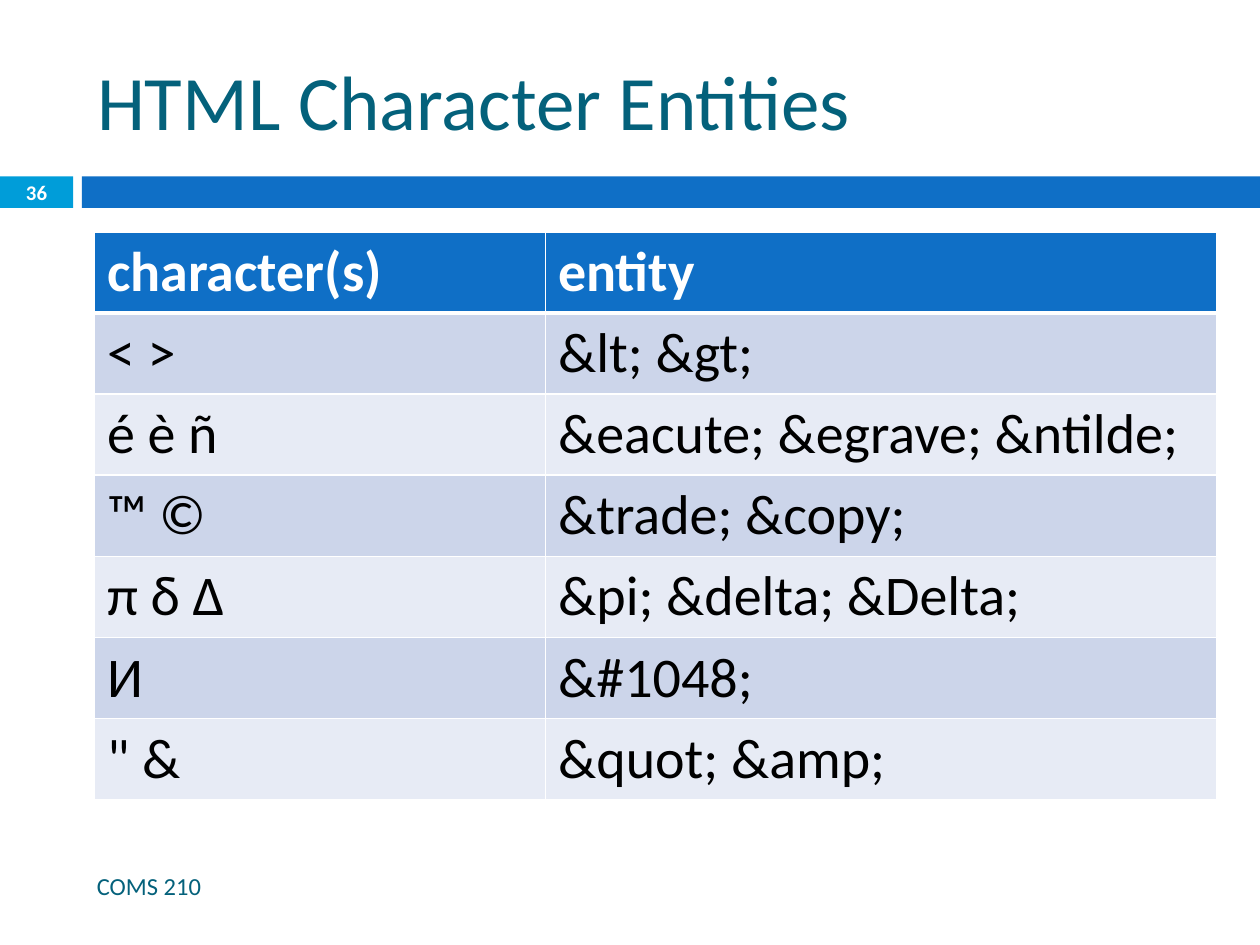
from lxml.etree import SubElement
from pptx import Presentation
from pptx.dml.color import RGBColor
from pptx.enum.shapes import MSO_SHAPE
from pptx.enum.text import MSO_ANCHOR, PP_ALIGN
from pptx.oxml.ns import qn
from pptx.util import Inches, Pt

COLORS = {
    "teal": "04617B", "blue": "0F6FC6", "cyan": "009DD9",
    "white": "FFFFFF", "black": "000000",
    "band_dark": "CCD5EA", "band_light": "E7EBF5",
}
ROWS = [
    ("character(s)", "entity"),
    ("< >", "&lt; &gt;"),
    ("é è ñ", "&eacute; &egrave; &ntilde;"),
    ("™ ©", "&trade; &copy;"),
    ("π δ Δ", "&pi; &delta; &Delta;"),
    ("И", "&#1048;"),
    ("\" &", "&quot; &amp;"),
]


def write(tf, text, size, color, bold=False, align=PP_ALIGN.LEFT):
    tf.word_wrap = True
    p = tf.paragraphs[0]
    p.alignment = align
    r = p.add_run()
    r.text = text
    r.font.name = "Calibri"
    r.font.size = Pt(size)
    r.font.bold = bold
    r.font.color.rgb = RGBColor.from_string(COLORS[color])


def add_borders(cell, bottom):
    """Draw white cell borders, 1 pt wide except for the given bottom width."""
    tcPr = cell._tc.get_or_add_tcPr()
    for side, width in (("L", 1), ("R", 1), ("T", 1), ("B", bottom)):
        ln = SubElement(tcPr, qn(f"a:ln{side}"), w=str(Pt(width)))
        SubElement(SubElement(ln, qn("a:solidFill")), qn("a:srgbClr"), val=COLORS["white"])


prs = Presentation()
prs.slide_width, prs.slide_height = Inches(10), Inches(7.5)
s = prs.slides.add_slide(prs.slide_layouts[5])

# Divider bars
for left, width, color in ((0, 0.58, "cyan"), (0.65, 9.35, "blue")):
    sp = s.shapes.add_shape(MSO_SHAPE.RECTANGLE, Inches(left), Inches(1.4),
                            Inches(width), Inches(0.25))
    sp.shadow.inherit = False
    sp.fill.solid()
    sp.fill.fore_color.rgb = RGBColor.from_string(COLORS[color])
    sp.line.fill.background()

# Title
title = s.shapes.title
title.left, title.top = Inches(0.67), Inches(0.25)
title.width, title.height = Inches(8.92), Inches(1.08)
title.text_frame.vertical_anchor = MSO_ANCHOR.MIDDLE
write(title.text_frame, "HTML Character Entities", 44, "teal")

# Entity table
row_height = 0.64
table = s.shapes.add_table(len(ROWS), 2, Inches(0.75), Inches(1.84), Inches(8.91),
                           Inches(row_height * len(ROWS))).table
table.columns[0].width, table.columns[1].width = Inches(3.58), Inches(5.33)
for i, row in enumerate(ROWS):
    header = i == 0
    fill = "blue" if header else "band_dark" if i % 2 else "band_light"
    for j, text in enumerate(row):
        cell = table.cell(i, j)
        cell.vertical_anchor = MSO_ANCHOR.MIDDLE
        add_borders(cell, bottom=3 if header else 1)
        cell.fill.solid()
        cell.fill.fore_color.rgb = RGBColor.from_string(COLORS[fill])
        write(cell.text_frame, text, 32, "white" if header else "black", bold=header)

# Footer and slide number
footer = s.shapes.add_textbox(Inches(0.67), Inches(6.83), Inches(5.93), Inches(0.4))
footer.text_frame.vertical_anchor = MSO_ANCHOR.MIDDLE
write(footer.text_frame, "COMS 210", 14, "teal")

number = s.shapes.add_textbox(Inches(0), Inches(1.39), Inches(0.58), Inches(0.27))
tf = number.text_frame
tf.margin_left = tf.margin_right = tf.margin_top = tf.margin_bottom = 0
tf.vertical_anchor = MSO_ANCHOR.MIDDLE
write(tf, "36", 11.9, "white", bold=True, align=PP_ALIGN.CENTER)

prs.save("out.pptx")
